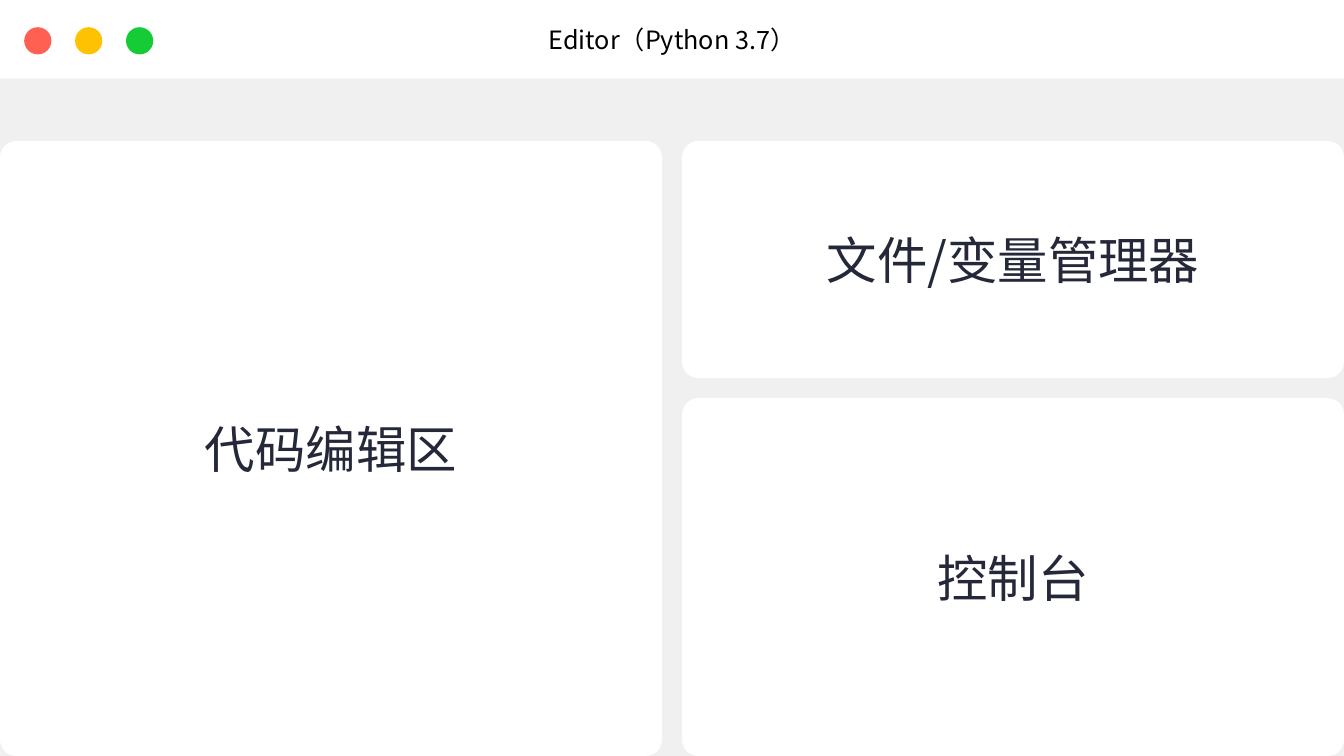
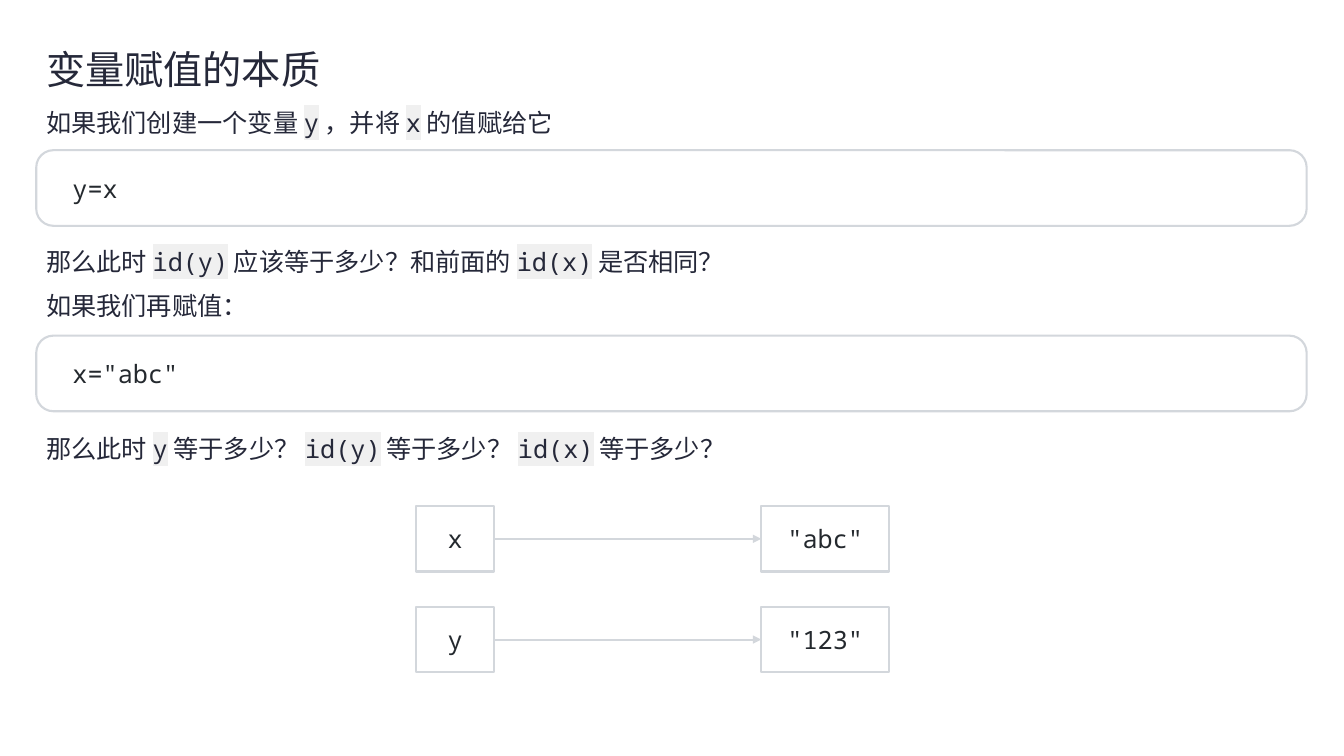
"""Build two lesson slides: an editor window layout and variable assignment."""
import pptx
import pptx.dml.color
import pptx.enum.shapes
import pptx.enum.text
import pptx.oxml.ns
import pptx.util
from lxml import etree

Inches, Pt = pptx.util.Inches, pptx.util.Pt
RGBColor = pptx.dml.color.RGBColor
Shape = pptx.enum.shapes.MSO_SHAPE
Align = pptx.enum.text.PP_ALIGN
Anchor = pptx.enum.text.MSO_ANCHOR
qn = pptx.oxml.ns.qn

WHITE = RGBColor(0xFF, 0xFF, 0xFF)
BLACK = RGBColor(0, 0, 0)
GREY = RGBColor(0xF0, 0xF0, 0xF0)
BORDER = RGBColor(0xD3, 0xD7, 0xDC)
INK = RGBColor(0x25, 0x28, 0x39)
CODE_INK = RGBColor(0x24, 0x29, 0x2E)
RED = RGBColor(0xFF, 0x60, 0x52)
YELLOW = RGBColor(0xFF, 0xC2, 0x03)
GREEN = RGBColor(0x15, 0xCC, 0x37)
SANS, MONO = "Noto Sans CJK SC", "Noto Sans Mono"

WIDTH, HEIGHT = 13.33, 7.5

WINDOW_TITLE = "Editor（Python 3.7）"
BAR_HEIGHT = 0.78
BUTTONS = [RED, YELLOW, GREEN]
BUTTON_SIZE, BUTTON_LEFT, BUTTON_STEP = 0.27, 0.24, 0.505
PANELS_TOP, PANEL_GAP, PANEL_RADIUS = 1.4, 0.2, 0.16
PANEL_COLUMNS = [
    [("代码编辑区", 6.1)],
    [("文件/变量管理器", 2.35), ("控制台", 3.55)],
]

MARGIN, TEXT_WIDTH = 0.36, 9.14
CODE_SIZE, CODE_RADIUS = (12.6, 0.75), 0.17
# Backticks mark inline code; each paragraph is (text, size).
TEXTS = [
    (0.31, 1.1, [("变量赋值的本质", 28),
                 ("如果我们创建一个变量 `y` ，并将 `x` 的值赋给它", 18)]),
    (2.33, 0.89, [("那么此时 `id(y)` 应该等于多少？和前面的 `id(x)` 是否相同？", 18),
                  ("如果我们再赋值：", 18)]),
    (4.19, 0.45, [("那么此时 `y` 等于多少？ `id(y)` 等于多少？ `id(x)` 等于多少？", 18)]),
]
CODE_BOXES = [(1.49, "y=x"), (3.33, 'x="abc"')]
BINDINGS = [("x", '"abc"'), ("y", '"123"')]
BINDINGS_TOP, BINDING_STEP, NODE_HEIGHT = 5.02, 1.0, 0.65
NAME_LEFT, NAME_WIDTH = 4.13, 0.77
VALUE_LEFT, VALUE_WIDTH = 7.55, 1.27


def add_span(para, text, size, color, font=SANS, highlight=None):
    span = para.add_run()
    span.text = text
    span.font.size = Pt(size)
    span.font.color.rgb = color
    span.font.name = font
    properties = span.font._element
    latin = properties.find(qn("a:latin"))
    east_asian = etree.Element(qn("a:ea"), typeface=font)
    latin.addnext(east_asian)
    if highlight is not None:
        mark = etree.Element(qn("a:highlight"))
        etree.SubElement(mark, qn("a:srgbClr"), val=str(highlight))
        latin.addprevious(mark)


def add_box(shapes, kind, left, top, width, height, fill, line=None, radius=None):
    box = shapes.add_shape(kind, Inches(left), Inches(top), Inches(width), Inches(height))
    box.shadow.inherit = False
    box.fill.solid()
    box.fill.fore_color.rgb = fill
    if line is None:
        box.line.fill.background()
    else:
        box.line.color.rgb = line
        box.line.width = Pt(1.5)
    if radius is not None:
        box.adjustments[0] = radius / min(width, height)
    return box


def label(box, text, size, color, font=SANS, align=Align.CENTER, insets=None, wrap=True):
    frame = box.text_frame
    frame.word_wrap = wrap
    frame.vertical_anchor = Anchor.MIDDLE
    if insets:
        frame.margin_left, frame.margin_top, frame.margin_right, frame.margin_bottom = map(Inches, insets)
    para = frame.paragraphs[0]
    para.alignment = align
    add_span(para, text, size, color, font)


def add_text(shapes, top, height, paragraphs):
    box = shapes.add_textbox(Inches(MARGIN), Inches(top), Inches(TEXT_WIDTH), Inches(height))
    frame = box.text_frame
    frame.word_wrap = True
    frame.auto_size = pptx.enum.text.MSO_AUTO_SIZE.SHAPE_TO_FIT_TEXT
    for index, (text, size) in enumerate(paragraphs):
        para = frame.add_paragraph() if index else frame.paragraphs[0]
        para.line_spacing = 1.2
        para.space_after = Pt(6)
        for part, piece in enumerate(text.split("`")):
            if part % 2:
                add_span(para, piece, size, INK, MONO, GREY)
            else:
                add_span(para, piece, size, INK)


def add_node(shapes, left, top, width, text):
    node = add_box(shapes, Shape.RECTANGLE, left, top, width, NODE_HEIGHT, WHITE, BORDER)
    label(node, text, 18, CODE_INK, MONO, insets=(0.24, 0.16, 0.24, 0.16), wrap=False)
    return node


def add_arrow(shapes, start, end):
    middle = start.top + start.height // 2
    arrow = shapes.add_connector(pptx.enum.shapes.MSO_CONNECTOR.STRAIGHT,
                                 start.left + start.width, middle, end.left, middle)
    arrow.begin_connect(start, 3)
    arrow.end_connect(end, 1)
    arrow.line.color.rgb = BORDER
    arrow.line.width = Pt(1.5)
    etree.SubElement(arrow.line._get_or_add_ln(), qn("a:tailEnd"), type="triangle")
    etree.SubElement(arrow._element.spPr, qn("a:effectLst"))


def add_slide(deck, background):
    slide = deck.slides.add_slide(deck.slide_layouts[6])
    slide.background.fill.solid()
    slide.background.fill.fore_color.rgb = background
    return slide.shapes


def build_window(deck):
    shapes = add_slide(deck, GREY)
    bar = add_box(shapes, Shape.RECTANGLE, 0, 0, WIDTH, BAR_HEIGHT, WHITE)
    label(bar, WINDOW_TITLE, 18, BLACK)
    for index, color in enumerate(BUTTONS):
        add_box(shapes, Shape.OVAL, BUTTON_LEFT + index * BUTTON_STEP, BUTTON_SIZE,
                BUTTON_SIZE, BUTTON_SIZE, color)
    width = (WIDTH - PANEL_GAP) / len(PANEL_COLUMNS)
    for column, panels in enumerate(PANEL_COLUMNS):
        top = PANELS_TOP
        for text, height in panels:
            panel = add_box(shapes, Shape.ROUNDED_RECTANGLE, column * (width + PANEL_GAP), top,
                            width, height, WHITE, radius=PANEL_RADIUS)
            label(panel, text, 36, INK)
            top += height + PANEL_GAP


def build_assignment(deck):
    shapes = add_slide(deck, WHITE)
    for top, height, paragraphs in TEXTS:
        add_text(shapes, top, height, paragraphs)
    for top, code in CODE_BOXES:
        box = add_box(shapes, Shape.ROUNDED_RECTANGLE, MARGIN, top, *CODE_SIZE,
                      WHITE, BORDER, CODE_RADIUS)
        label(box, code, 18, CODE_INK, MONO, Align.JUSTIFY, (0.31, 0.16, 0.24, 0.16))
    for row, (name, value) in enumerate(BINDINGS):
        group = shapes.add_group_shape().shapes
        top = BINDINGS_TOP + row * BINDING_STEP
        name_node = add_node(group, NAME_LEFT, top, NAME_WIDTH, name)
        value_node = add_node(group, VALUE_LEFT, top, VALUE_WIDTH, value)
        add_arrow(group, name_node, value_node)


def main():
    deck = pptx.Presentation()
    deck.slide_width, deck.slide_height = Inches(WIDTH), Inches(HEIGHT)
    build_window(deck)
    build_assignment(deck)
    deck.save("out.pptx")


if __name__ == "__main__":
    main()
